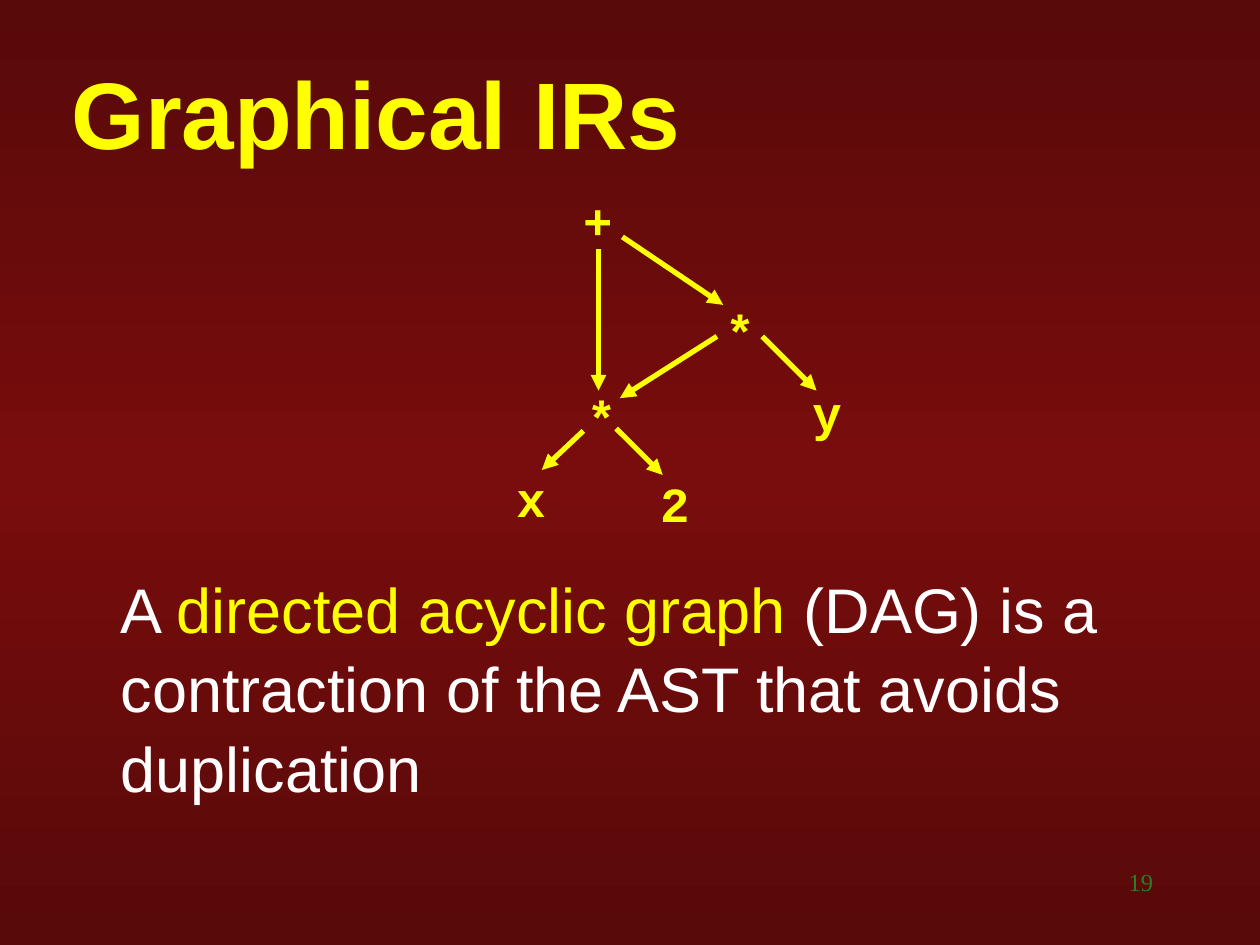
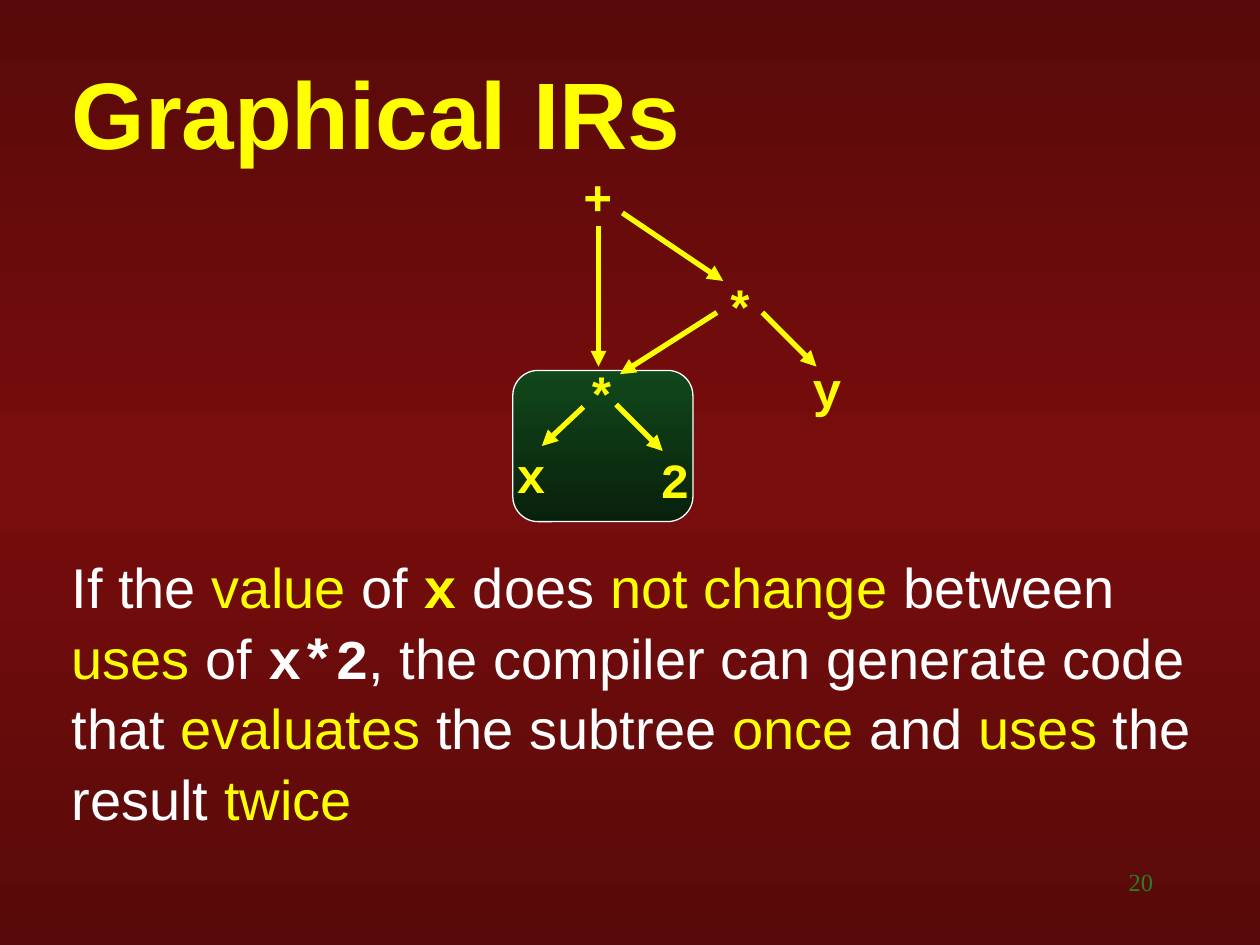
import pptx
import pptx.dml.color
import pptx.enum.shapes
import pptx.enum.text
import pptx.oxml
import pptx.oxml.ns
import pptx.util
from dataclasses import dataclass
from lxml import etree

qn = pptx.oxml.ns.qn
Pt = pptx.util.Pt
ALIGN = pptx.enum.text.PP_ALIGN


@dataclass(frozen=True)
class Theme:
    back: tuple = ((0, "580909"), (50, "790D0D"), (100, "580909"))
    panel: tuple = ((0, "11471A"), (100, "08210C"))
    key: str = "FFFF00"
    plain: str = "FFFFFF"
    page: str = "2B7D27"
    shade: str = "DDDDDD"
    sans: str = "Arial"
    mono: str = "Courier New"
    serif: str = "Times New Roman"
    head_size: int = 54
    node_size: int = 28
    page_size: int = 14
    lead: float = 1.05


THEME = Theme()

# The slide is a grid of 100 columns by 75 rows; boxes are left, top, width, height.
COLS, ROWS = 100, 75
CELL = pptx.util.Inches(0.1)
HEAD = (4.7, 3.9, 92, 8.3)
PAGE = (71.7, 68.3, 20.8, 5)
NODE = (4.3, 5.7)

# Cells from the top left corner of the graph
NODES = (("+", 5.3, 0), ("*", 16.6, 8.8), ("y", 23.5, 15.3),
         ("*", 5.6, 15.7), ("2", 11.4, 22.5), ("x", 0, 22.1))
EDGES = ((7.5, 5.2, 7.5, 16.4), (9.4, 4.2, 17.4, 9.6),
         (16.9, 12.1, 9.2, 17), (20.5, 12.1, 24.8, 16.4),
         (6.3, 19.6, 3, 22.7), (8.9, 19.4, 12.6, 23.1))
SUBTREE = (0.7, 16.7, 14.3, 12)

# Font format and colour of each kind of run
LOOKS = {
    "head": ({"name": THEME.sans, "bold": True, "size": Pt(THEME.head_size)}, THEME.key),
    "page": ({"name": THEME.serif, "size": Pt(THEME.page_size)}, THEME.page),
    "node": ({"name": THEME.mono, "bold": True, "size": Pt(THEME.node_size)}, THEME.key),
    "plain": ({"name": THEME.sans}, THEME.plain),
    "key": ({"name": THEME.sans}, THEME.key),
    "code": ({"name": THEME.mono, "bold": True}, THEME.plain),
    "var": ({"name": THEME.mono, "bold": True}, THEME.key),
}

DAG_TEXT = (("A ", "plain"), ("directed acyclic graph", "key"),
            (" (DAG) is a contraction of the AST that avoids duplication", "plain"))
REUSE_TEXT = (("If the ", "plain"), ("value", "key"), (" of ", "plain"), ("x", "var"),
              (" does ", "plain"), ("not change", "key"), (" between ", "plain"),
              ("uses", "key"), (" of ", "plain"), ("x*2", "code"),
              (", the compiler can generate code that ", "plain"), ("evaluates", "key"),
              (" the subtree ", "plain"), ("once", "key"), (" and ", "plain"),
              ("uses", "key"), (" the result ", "plain"), ("twice", "key"))


def grid(*cells):
    return [round(n * CELL) for n in cells]


def rgb(code):
    return pptx.dml.color.RGBColor.from_string(code)


def blend(fill, owner, stops):
    """Fill from top to bottom with (percent, colour) stops."""
    fill.gradient()
    fill.gradient_angle = 270
    row = next(owner.iter(qn("a:gsLst")))
    for old in list(row):
        row.remove(old)
    for pos, code in stops:
        stop = etree.SubElement(row, qn("a:gs"), pos=str(pos * 1000))
        etree.SubElement(stop, qn("a:srgbClr"), val=code)


def write(slide, box, runs, wrap=True, size=None, **form):
    """Add a one-paragraph text box; form sets paragraph values."""
    frame = slide.shapes.add_textbox(*grid(*box)).text_frame
    frame.word_wrap = wrap
    para = frame.paragraphs[0]
    for name, value in form.items():
        setattr(para, name, value)
    for text, kind in runs:
        run = para.add_run()
        run.text = text
        look, code = LOOKS[kind]
        if size:
            run.font.size = Pt(size)
        for name, value in look.items():
            setattr(run.font, name, value)
        run.font.color.rgb = rgb(code)
    return para


def head(slide, text):
    para = write(slide, HEAD, [(text, "head")])
    glow = etree.Element(qn("a:effectLst"))
    drop = etree.SubElement(glow, qn("a:outerShdw"), dist="25400", dir="2700000")
    etree.SubElement(drop, qn("a:srgbClr"), val=THEME.shade)
    next(para.runs[0].font.fill._xPr.iter(qn("a:solidFill"))).addnext(glow)


def arrow(slide, ends):
    line = slide.shapes.add_connector(
        pptx.enum.shapes.MSO_CONNECTOR.STRAIGHT, *grid(*ends))
    line.line.color.rgb = rgb(THEME.key)
    line.line.width = Pt(3)
    etree.SubElement(line.line._get_or_add_ln(), qn("a:tailEnd"), type="triangle")
    etree.SubElement(line.element.spPr, qn("a:effectLst"))


def panel(slide, box):
    shape = slide.shapes.add_shape(
        pptx.enum.shapes.MSO_SHAPE.ROUNDED_RECTANGLE, *grid(*box))
    shape.shadow.inherit = False
    blend(shape.fill, shape.element, THEME.panel)
    shape.line.color.rgb = rgb(THEME.plain)
    shape.line.width = Pt(0.75)


def graph(slide, left, top, mark):
    """Draw the graph, with a panel behind the shared subtree if mark is set."""
    if mark:
        x, y, wide, high = SUBTREE
        panel(slide, (left + x, top + y, wide, high))
    for text, x, y in NODES:
        write(slide, (left + x, top + y, *NODE), [(text, "node")], wrap=False)
    for x1, y1, x2, y2 in EDGES:
        arrow(slide, (left + x1, top + y1, left + x2, top + y2))


def page(deck, num, top, box, runs, size, gap, mark=False):
    slide = deck.slides.add_slide(deck.slide_layouts[6])
    blend(slide.background.fill, slide.element, THEME.back)
    write(slide, PAGE, [(str(num), "page")], alignment=ALIGN.RIGHT)
    head(slide, "Graphical IRs")
    graph(slide, 40, top, mark)
    write(slide, box, runs, size=size, line_spacing=THEME.lead, space_after=Pt(gap))


def main():
    deck = pptx.Presentation()
    deck.slide_width, deck.slide_height = grid(COLS, ROWS)
    page(deck, 19, 14.6, (8.6, 44.5, 93.1, 20.7), DAG_TEXT, 36, 22.5)
    page(deck, 20, 12.7, (4.7, 43.1, 93.1, 23.9), REUSE_TEXT, 32, 20, mark=True)
    deck.save("out.pptx")


if __name__ == "__main__":
    main()
